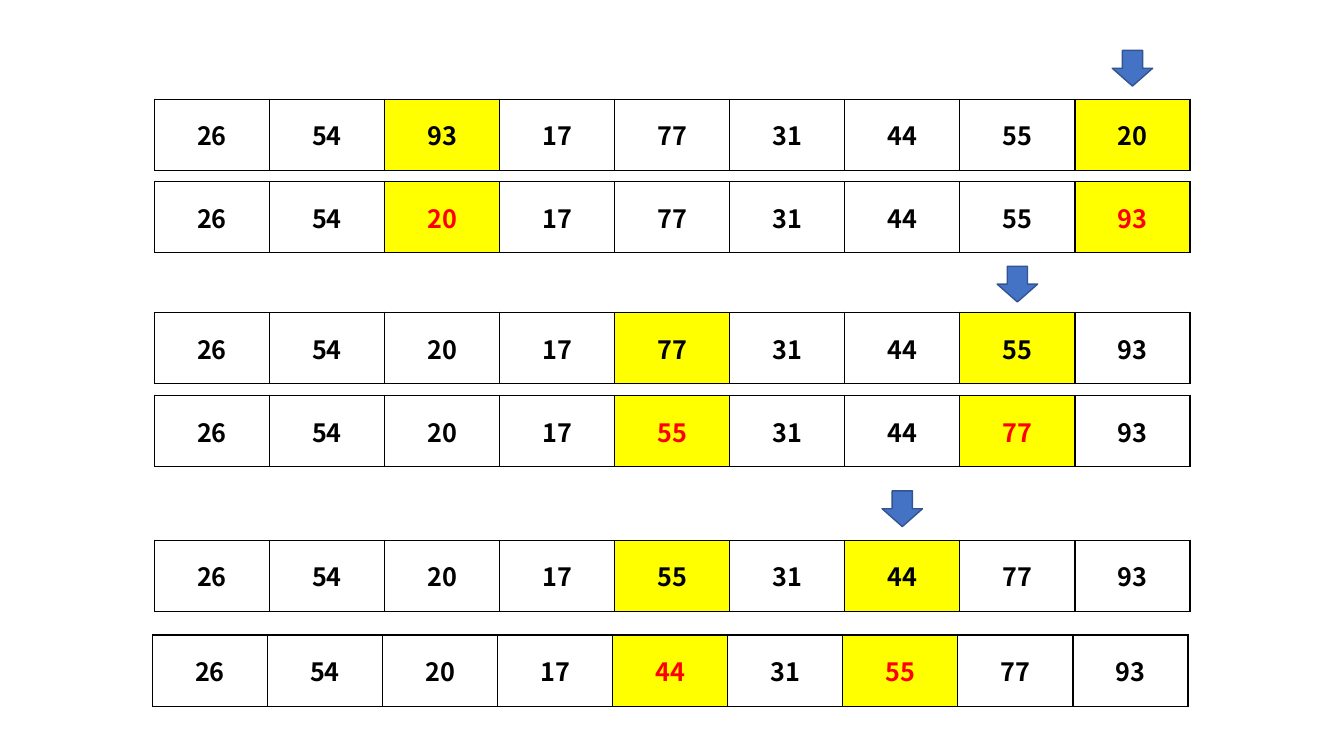
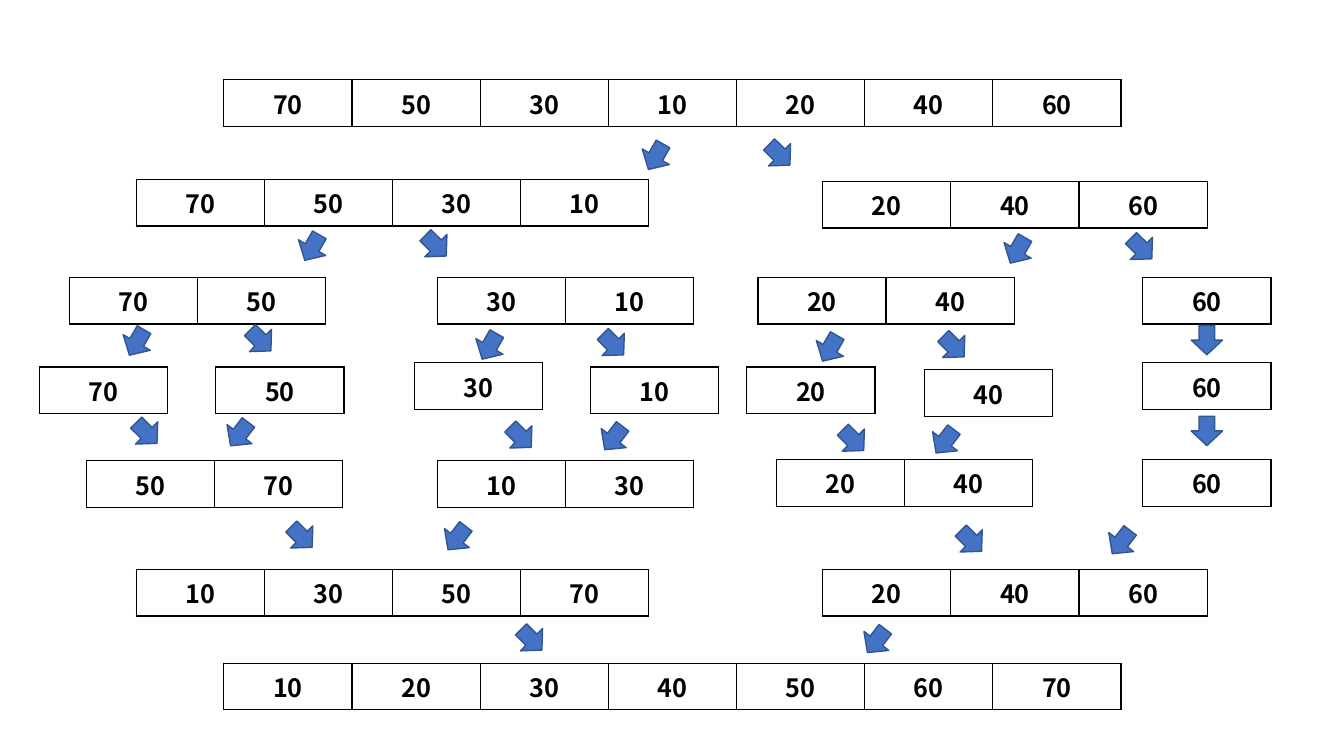
from dataclasses import dataclass

from lxml.etree import SubElement
from pptx import Presentation
from pptx.dml.color import RGBColor
from pptx.enum.shapes import MSO_SHAPE
from pptx.enum.text import MSO_ANCHOR, PP_ALIGN
from pptx.oxml.ns import qn
from pptx.slide import Slide
from pptx.util import Cm, Pt


@dataclass(frozen=True)
class Theme:
    font: str = "Noto Sans CJK KR"
    size: float = 18
    line: float = 1
    ink: str = "000000"
    swapped: str = "FF0000"
    marked: str = "FFFF00"
    arrow: str = "4472C4"
    arrow_edge: str = "325491"


THEME = Theme()


# All lengths are in centimetres
@dataclass(frozen=True)
class Strip:
    x: float
    y: float
    values: str
    cell_w: float = 3.23
    cell_h: float = 1.03
    marks: tuple[int, ...] = ()
    mark_ink: str = THEME.ink


@dataclass(frozen=True)
class Arrow:
    x: float
    y: float
    rotation: float = 0
    w: float = 0.79
    h: float = 0.74


@dataclass(frozen=True)
class Swap:
    """One exchange: the array before and after, with an arrow at the last open slot."""
    before: str
    after: str
    marks: tuple[int, int]
    arrow_y: float
    before_y: float
    after_y: float
    after_x: float = 3.89


# Drawing functions
def rgb(color: str) -> RGBColor:
    return RGBColor.from_string(color)


def put_text(tf, text: str, *, color: str = THEME.ink, size: float = THEME.size,
             bold: bool = True, align=PP_ALIGN.CENTER) -> None:
    p = tf.paragraphs[0]
    p.alignment = align
    r = p.add_run()
    r.text = text
    r.font.name, r.font.size, r.font.bold = THEME.font, Pt(size), bold
    r.font.color.rgb = rgb(color)


def add_borders(cell) -> None:
    props = cell._tc.get_or_add_tcPr()
    for side in ("a:lnL", "a:lnR", "a:lnT", "a:lnB"):
        ln = SubElement(props, qn(side), w=str(Pt(THEME.line)))
        fill = SubElement(ln, qn("a:solidFill"))
        SubElement(fill, qn("a:srgbClr"), val=THEME.ink)


def draw_strip(s: Slide, strip: Strip) -> None:
    values = strip.values.split()
    table = s.shapes.add_table(1, len(values), Cm(strip.x), Cm(strip.y),
                               Cm(strip.cell_w * len(values)), Cm(strip.cell_h)).table
    table.first_row = table.horz_banding = False
    for i, value in enumerate(values):
        table.columns[i].width = Cm(strip.cell_w)
        cell = table.cell(0, i)
        cell.vertical_anchor = MSO_ANCHOR.MIDDLE
        add_borders(cell)
        if i in strip.marks:
            cell.fill.solid()
            cell.fill.fore_color.rgb = rgb(THEME.marked)
        else:
            cell.fill.background()
        put_text(cell.text_frame, value,
                 color=strip.mark_ink if i in strip.marks else THEME.ink)


def draw_arrow(s: Slide, arrow: Arrow) -> None:
    sp = s.shapes.add_shape(MSO_SHAPE.DOWN_ARROW, Cm(arrow.x), Cm(arrow.y),
                            Cm(arrow.w), Cm(arrow.h))
    sp.rotation = arrow.rotation
    sp.shadow.inherit = False
    sp.fill.solid()
    sp.fill.fore_color.rgb = rgb(THEME.arrow)
    sp.line.color.rgb = rgb(THEME.arrow_edge)
    sp.line.width = Pt(THEME.line)


# Slide 1: selection sort
SORT_X, SORT_W, SORT_H = 3.89, 2.9, 1.8
SWAPS = (
    Swap("26 54 93 17 77 31 44 55 20", "26 54 20 17 77 31 44 55 93",
         (2, 8), 1.27, 2.5, 4.57),
    Swap("26 54 20 17 77 31 44 55 93", "26 54 20 17 55 31 44 77 93",
         (4, 7), 6.71, 7.87, 9.96),
    Swap("26 54 20 17 55 31 44 77 93", "26 54 20 17 44 31 55 77 93",
         (4, 6), 12.37, 13.61, 16, after_x=3.84),
)


def selection_sort(s: Slide) -> None:
    arrow_w, arrow_h = 1.02, 0.9
    for swap in SWAPS:
        draw_strip(s, Strip(SORT_X, swap.before_y, swap.before, SORT_W, SORT_H, swap.marks))
        draw_strip(s, Strip(swap.after_x, swap.after_y, swap.after, SORT_W, SORT_H,
                            swap.marks, THEME.swapped))
        center = SORT_X + (swap.marks[1] + 0.5) * SORT_W
        draw_arrow(s, Arrow(center - arrow_w / 2, swap.arrow_y, w=arrow_w, h=arrow_h))


# Slide 2: merge sort
MERGE_STRIPS = (
    Strip(5.64, 2.01, "70 50 30 10 20 40 60"),
    # Splitting
    Strip(3.43, 4.52, "70 50 30 10"),
    Strip(20.73, 4.57, "20 40 60"),
    Strip(1.75, 6.99, "70 50"),
    Strip(11.02, 6.99, "30 10"),
    Strip(19.1, 6.99, "20 40"),
    Strip(28.8, 6.99, "60"),
    # Single values
    Strip(0.99, 9.25, "70"),
    Strip(5.44, 9.25, "50"),
    Strip(10.44, 9.14, "30"),
    Strip(14.88, 9.25, "10"),
    Strip(18.82, 9.25, "20"),
    Strip(23.29, 9.32, "40"),
    Strip(28.8, 9.14, "60"),
    # Merging
    Strip(2.18, 11.61, "50 70"),
    Strip(11.02, 11.61, "10 30"),
    Strip(19.56, 11.58, "20 40"),
    Strip(28.8, 11.58, "60"),
    Strip(3.43, 14.35, "10 30 50 70"),
    Strip(20.73, 14.35, "20 40 60"),
    Strip(5.64, 16.71, "10 20 30 40 50 60 70"),
)
TO_RIGHT, SPLIT_LEFT, MERGE_LEFT = 314.9, 29.9, 37.5
SPLIT_GAP = 3.12
# Left arrow of each splitting pair: x, y
SPLITS = ((16.13, 3.58), (7.47, 5.87), (25.25, 5.94),
          (3.05, 8.26), (11.94, 8.36), (20.52, 8.41))
# Left arrow of each merging pair, and the gap to its partner: x, y, gap
MERGES = ((3.3, 10.54, 2.34), (12.73, 10.64, 2.34), (21.11, 10.72, 2.31),
          (7.21, 13.16, 3.91), (24.08, 13.26, 3.78), (13, 15.75, 8.69))
# Straight arrows between the single 60s: x, y
DROPS = ((30.02, 8.2), (30.02, 10.49))


def merge_sort(s: Slide) -> None:
    for strip in MERGE_STRIPS:
        draw_strip(s, strip)
    for x, y in SPLITS:
        draw_arrow(s, Arrow(x, y, SPLIT_LEFT))
        draw_arrow(s, Arrow(x + SPLIT_GAP, y - 0.05, TO_RIGHT))
    for x, y in DROPS:
        draw_arrow(s, Arrow(x, y))
    for x, y, gap in MERGES:
        draw_arrow(s, Arrow(x, y, TO_RIGHT))
        draw_arrow(s, Arrow(x + gap, y + 0.03, MERGE_LEFT))


def main() -> None:
    prs = Presentation()
    prs.slide_width, prs.slide_height = Cm(33.87), Cm(19.05)
    for build in (selection_sort, merge_sort):
        build(prs.slides.add_slide(prs.slide_layouts[6]))
    prs.save("out.pptx")


if __name__ == "__main__":
    main()
